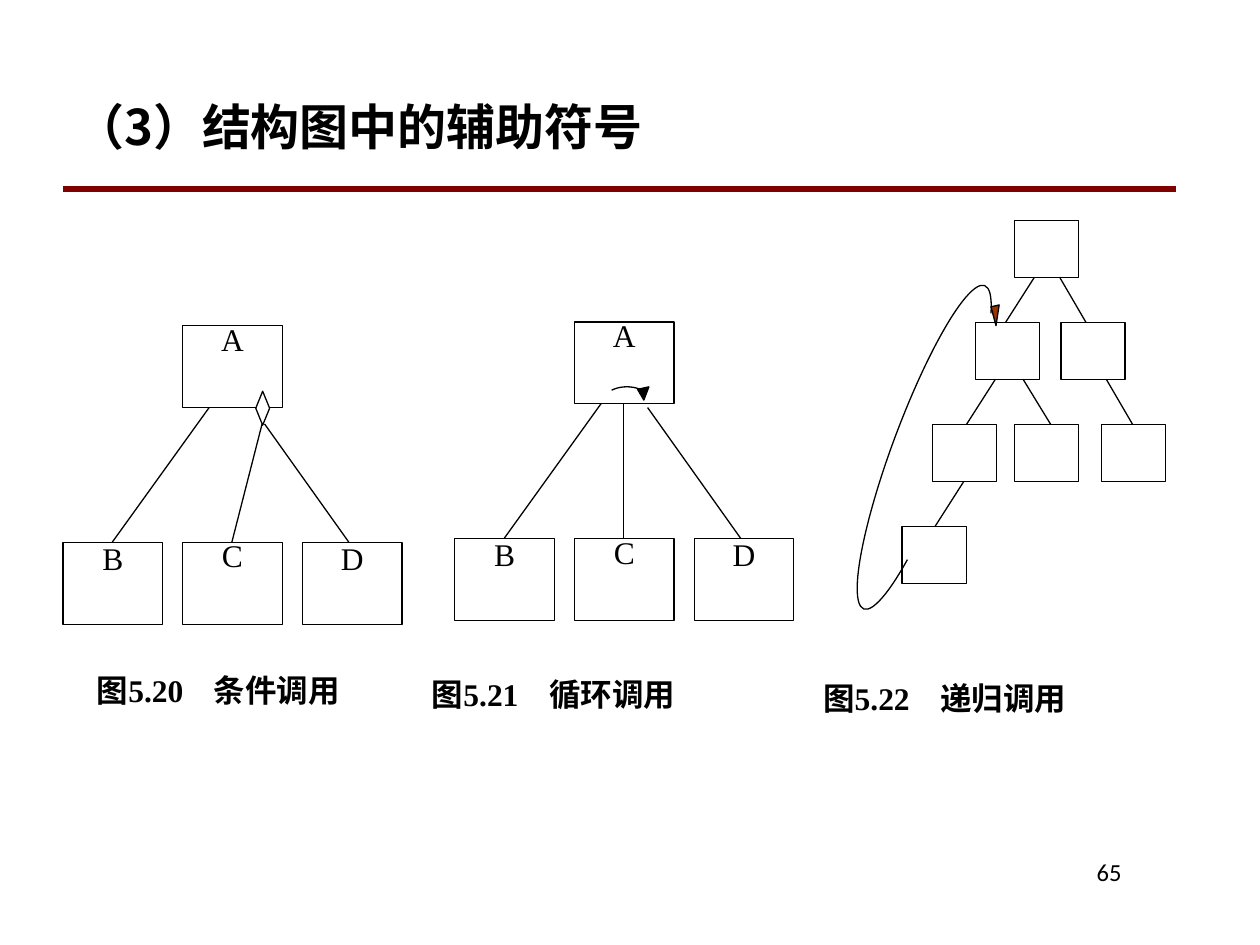
from dataclasses import dataclass

from lxml import etree
from pptx import Presentation
from pptx.dml.color import RGBColor
from pptx.enum.shapes import MSO_CONNECTOR, MSO_SHAPE
from pptx.enum.text import MSO_ANCHOR, PP_ALIGN
from pptx.oxml.ns import qn
from pptx.util import Inches, Pt

RECT, DIAMOND, ARC = MSO_SHAPE.RECTANGLE, MSO_SHAPE.DIAMOND, MSO_SHAPE.ARC
STRAIGHT = MSO_CONNECTOR.STRAIGHT
LEFT, CENTER, RIGHT = PP_ALIGN.LEFT, PP_ALIGN.CENTER, PP_ALIGN.RIGHT
TOP, MIDDLE = MSO_ANCHOR.TOP, MSO_ANCHOR.MIDDLE

WIDTH, HEIGHT = Inches(10), Inches(7.5)
COLS, ROWS = 100, 75
ANGLE_UNIT = 0.6


@dataclass(frozen=True)
class Theme:
    """Colours, fonts and type sizes of the slide."""
    ink: str = "000000"
    paper: str = "FFFFFF"
    rule: str = "800000"
    marker: str = "993300"
    cjk: str = "Noto Sans CJK SC"
    serif: str = "Times New Roman"
    sans: str = "Calibri"
    title: int = 28
    body: int = 18
    number: int = 14
    thin: float = 0.75
    thick: float = 3


THEME = Theme()


def x(cols):
    """Turn grid columns into a horizontal length."""
    return round(cols * WIDTH / COLS)


def y(rows):
    """Turn grid rows into a vertical length."""
    return round(rows * HEIGHT / ROWS)


def rgb(value):
    """Make a colour from its hex value."""
    return RGBColor.from_string(value)


def style(sp, fill=None):
    """Give a shape a thin outline and a flat fill or none."""
    sp.shadow.inherit = False
    sp.line.color.rgb = rgb(THEME.ink)
    sp.line.width = Pt(THEME.thin)
    if fill:
        sp.fill.solid()
        sp.fill.fore_color.rgb = rgb(fill)
    else:
        sp.fill.background()


def write(sp, text, size, font, bold=False, align=LEFT, anchor=TOP):
    """Set the single paragraph of a shape and return it."""
    tf = sp.text_frame
    tf.word_wrap = True
    tf.vertical_anchor = anchor
    tf.text = text
    p = tf.paragraphs[0]
    p.alignment = align
    for r in p.runs:
        r.font.size, r.font.name, r.font.bold = Pt(size), font, bold
        r.font.color.rgb = rgb(THEME.ink)
        etree.SubElement(r.font._element, qn("a:ea"), typeface=THEME.cjk)
    return p


def add_label(s, box, *args, **kwargs):
    """Add a text box at a grid position."""
    left, top, width, height = box
    sp = s.shapes.add_textbox(x(left), y(top), x(width), y(height))
    return write(sp, *args, **kwargs)


def add_caption(s, left, top, number, name):
    """Add a figure caption with its name at a tab stop."""
    p = add_label(s, (left, top, 22.3, 9.1), f"图{number}\t{name}",
                  THEME.body, THEME.serif, bold=True)
    tabs = etree.SubElement(p._p.get_or_add_pPr(), qn("a:tabLst"))
    etree.SubElement(tabs, qn("a:tab"), pos=str(x(9.3)), algn="l")


def add_box(s, left, top, width, height, kind=RECT, fill=None):
    """Add an outlined preset shape at a grid position."""
    sp = s.shapes.add_shape(kind, x(left), y(top), x(width), y(height))
    style(sp, fill)
    return sp


def add_line(s, start, end, color=THEME.ink, weight=THEME.thin):
    """Add a straight line between two grid points."""
    c = s.shapes.add_connector(STRAIGHT, x(start[0]), y(start[1]),
                               x(end[0]), y(end[1]))
    c.line.color.rgb = rgb(color)
    c.line.width = Pt(weight)
    etree.SubElement(c._element.spPr, qn("a:effectLst"))


def add_arrowhead(s, points, fill):
    """Add a filled triangle through three grid points."""
    (x0, y0), *rest = [(x(a), y(b)) for a, b in points]
    fb = s.shapes.build_freeform(x0, y0)
    fb.add_line_segments(rest)
    style(fb.convert_to_shape(), fill)


def add_arc(s, box, start, end, turn=0):
    """Add a clockwise arc between two angles, turned by some degrees."""
    sp = add_box(s, *box, kind=ARC)
    sp.adjustments[0] = start * ANGLE_UNIT
    sp.adjustments[1] = end * ANGLE_UNIT
    sp.rotation = turn


def add_call_tree(s, left, top, starts):
    """Add module A above modules B, C and D, with their call lines."""
    step, drop, width, height = 9.5, 17.2, 7.9, 6.5
    places = {"A": (1, 0, 0.64), "B": (0, drop, 0.72),
              "C": (1, drop, 0.64), "D": (2, drop, 0.72)}
    for name, (col, down, spacing) in places.items():
        sp = add_box(s, left + col * step, top + down, width, height)
        p = write(sp, name, THEME.body, THEME.serif, align=CENTER)
        p.line_spacing = spacing
    for (dx, dy), end in zip(starts, (3.9, 13.4, 22.7)):
        add_line(s, (left + dx, top + dy), (left + end, top + drop))


def add_recursion_tree(s, left, top):
    """Add the four-level tree of unnamed modules."""
    pitch, width, height = 8.1, 5.1, 4.5
    levels = [[8.9], [5.8, 12.6], [2.4, 8.9, 15.8], [0]]
    edges = [(0, 0, 0, 1.6, 2.4), (0, 0, 1, 3.6, 2), (1, 0, 0, 1.6, 2.7),
             (1, 0, 1, 3.8, 2.9), (1, 1, 2, 3.6, 2.5), (2, 0, 0, 2.5, 2.6)]
    for row, level in enumerate(levels):
        for dx in level:
            add_box(s, left + dx, top + row * pitch, width, height)
    for row, parent, child, leave, enter in edges:
        add_line(s,
                 (left + levels[row][parent] + leave,
                  top + row * pitch + height),
                 (left + levels[row + 1][child] + enter,
                  top + (row + 1) * pitch))


def main():
    """Build the slide on structure chart symbols."""
    prs = Presentation()
    prs.slide_width, prs.slide_height = WIDTH, HEIGHT
    s = prs.slides.add_slide(prs.slide_layouts[6])

    add_line(s, (5, 15), (93.3, 15), THEME.rule, THEME.thick)
    add_label(s, (5, 5, 88.3, 10), "（3）结构图中的辅助符号",
              THEME.title, THEME.cjk, bold=True, anchor=MIDDLE)

    add_call_tree(s, 5, 25.85, [(11.6, 6.5), (15.8, 7.8), (16, 7.8)])
    add_box(s, 20.3, 31.05, 1.1, 2.7, DIAMOND, THEME.paper)

    add_call_tree(s, 36.1, 25.55, [(11.6, 6.5), (13.4, 6.5), (15.3, 6.8)])
    add_arc(s, (47.8, 30.7, 3.9, 2.5), 219, 332)
    add_arrowhead(s, [(50.6, 30.9), (51.5, 30.7), (51.1, 31.75)], THEME.ink)

    add_recursion_tree(s, 71.6, 17.5)
    add_arrowhead(s, [(78.65, 24.35), (79.3, 24.2), (79.05, 25.85)],
                  THEME.marker)
    add_arc(s, (70.9, 21.8, 4.9, 27.4), 78, 276, turn=20.5)

    add_caption(s, 6.7, 52.75, "5.20", "条件调用")
    add_caption(s, 33.3, 53.05, "5.21", "循环调用")
    add_caption(s, 64.35, 53.4, "5.22", "递归调用")
    add_label(s, (75.8, 67.5, 14.2, 5), "65", THEME.number, THEME.sans,
              align=RIGHT)
    prs.save("out.pptx")


if __name__ == "__main__":
    main()
